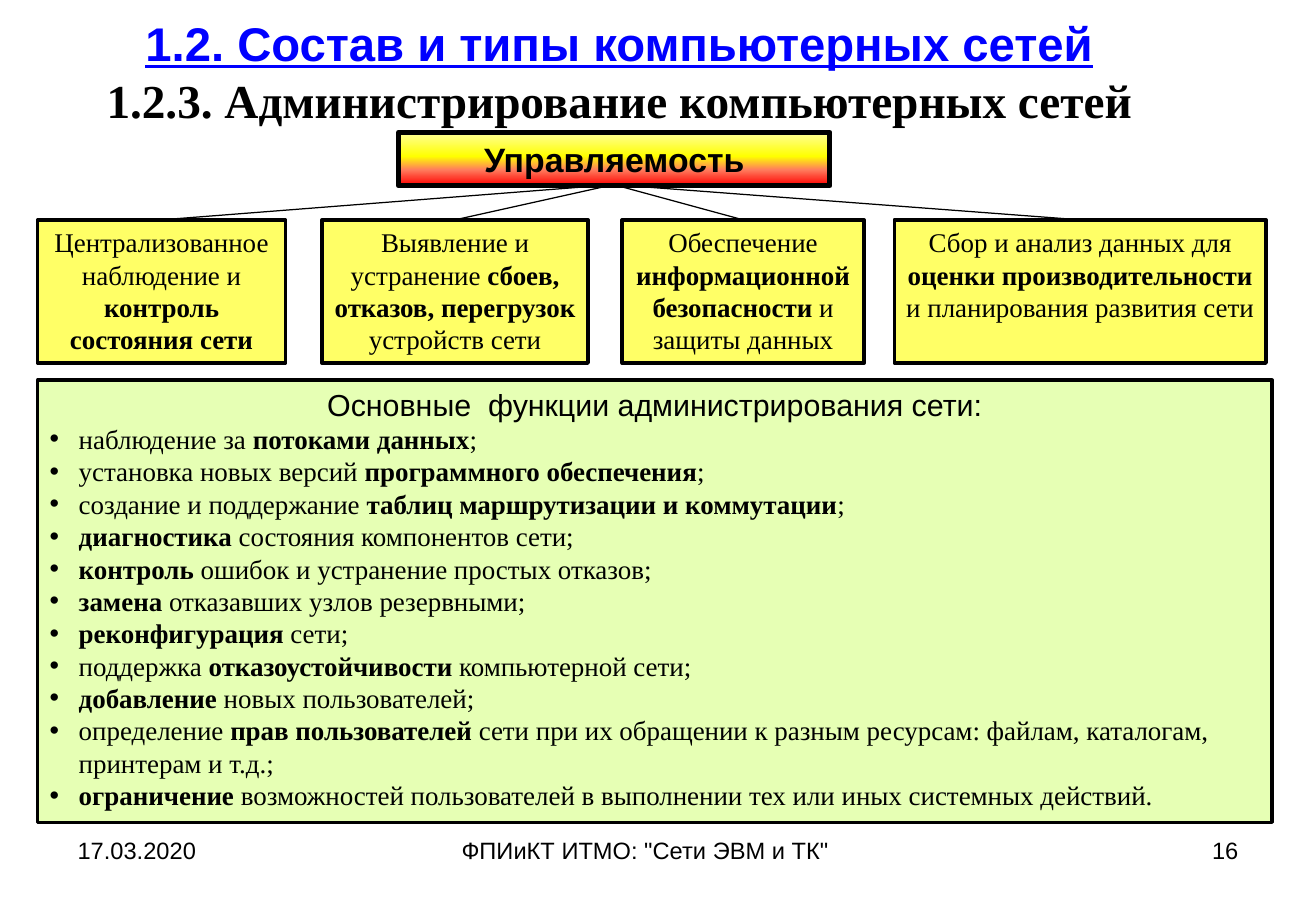
from dataclasses import dataclass

from lxml import etree
from pptx import Presentation
from pptx import util as u
from pptx.dml.color import RGBColor
from pptx.enum import shapes, text
from pptx.oxml.ns import qn


@dataclass(frozen=True)
class Theme:
    sans: str = "Arial"
    serif: str = "Times New Roman"
    ink: str = "000000"
    link: str = "0000FF"
    card: str = "FFFF66"
    panel: str = "CCFF66"
    glow: tuple = ((0, "FFFF99"), (45, "FFFF00"), (70, "FF7C5D"), (100, "FF0000"))
    title: int = 28
    head: int = 20
    lead: int = 18
    body: int = 16
    foot: int = 14


CENTER = text.PP_ALIGN.CENTER
LEFT = text.PP_ALIGN.LEFT
RIGHT = text.PP_ALIGN.RIGHT


class Board:
    def __init__(self, slide, theme):
        self.slide = slide
        self.theme = theme

    def style(self, font, face, size, color=None, bold=None):
        font.name = face
        font.size = u.Pt(size)
        font.color.rgb = RGBColor.from_string(color or self.theme.ink)
        font.bold = bold

    def fill_para(self, para, words, face, size, align=LEFT, bold=None, bullet=False):
        para.alignment = align
        if bullet:
            props = para._p.get_or_add_pPr()
            props.set("marL", str(u.Inches(0.24)))
            props.set("indent", str(-u.Inches(0.24)))
            etree.SubElement(props, qn("a:buFont"), typeface=self.theme.sans)
            etree.SubElement(props, qn("a:buChar"), char="•")
        self.style(para.font, face, size, bold=bold)
        for place, part in enumerate(words.split("*")):
            if part:
                run = para.add_run()
                run.text = part
                if place % 2:
                    run.font.bold = True

    def title(self, first, second, area):
        shape = self.slide.shapes.title
        shape.left, shape.top, shape.width, shape.height = map(u.Inches, area)
        frame = shape.text_frame
        frame.word_wrap = True
        frame.auto_size = text.MSO_AUTO_SIZE.NONE
        frame.vertical_anchor = text.MSO_ANCHOR.MIDDLE
        para = frame.paragraphs[0]
        para.alignment = CENTER
        run = para.add_run()
        run.text = first
        self.style(run.font, self.theme.sans, self.theme.title, self.theme.link, True)
        run.font.underline = True
        para.add_line_break()
        run = para.add_run()
        run.text = second
        self.style(run.font, self.theme.serif, self.theme.title, bold=True)

    def label(self, words, area, align=LEFT):
        frame = self.slide.shapes.add_textbox(*map(u.Inches, area)).text_frame
        frame.word_wrap = True
        self.fill_para(frame.paragraphs[0], words, self.theme.sans, self.theme.foot, align)

    def box(self, area, color=None, width=2):
        shape = self.slide.shapes.add_shape(
            shapes.MSO_SHAPE.RECTANGLE, *map(u.Inches, area))
        shape.shadow.inherit = False
        if color:
            shape.fill.solid()
            shape.fill.fore_color.rgb = RGBColor.from_string(color)
        shape.line.color.rgb = RGBColor.from_string(self.theme.ink)
        shape.line.width = u.Pt(width)
        shape.text_frame.word_wrap = True
        shape.text_frame.vertical_anchor = text.MSO_ANCHOR.TOP
        return shape

    def head(self, words, area):
        shape = self.box(area, width=3)
        shape.fill.gradient()
        shape.fill.gradient_angle = 270
        stops = shape._element.spPr.find(".//" + qn("a:gsLst"))
        for stop in list(stops):
            stops.remove(stop)
        for place, color in self.theme.glow:
            stop = etree.SubElement(stops, qn("a:gs"), pos=str(place * 1000))
            etree.SubElement(stop, qn("a:srgbClr"), val=color)
        self.fill_para(shape.text_frame.paragraphs[0], words, self.theme.sans,
                       self.theme.head, CENTER, True)

    def card(self, words, area):
        shape = self.box(area, self.theme.card)
        self.fill_para(shape.text_frame.paragraphs[0], words, self.theme.serif,
                       self.theme.body, CENTER)

    def panel(self, lead, items, area):
        shape = self.box(area, self.theme.panel)
        color = shape._element.spPr.find(qn("a:solidFill"))[0]
        etree.SubElement(color, qn("a:alpha"), val="49000")
        frame = shape.text_frame
        self.fill_para(frame.paragraphs[0], lead, self.theme.sans,
                       self.theme.lead, CENTER)
        for item in items:
            self.fill_para(frame.add_paragraph(), item, self.theme.serif,
                           self.theme.body, bullet=True)

    def line(self, start, end):
        link = self.slide.shapes.add_connector(
            shapes.MSO_CONNECTOR.STRAIGHT, *map(u.Inches, start + end))
        link.line.color.rgb = RGBColor.from_string(self.theme.ink)
        link.line.width = u.Pt(0.75)
        etree.SubElement(link._element.spPr, qn("a:effectLst"))


CARDS = (
    (0.31, 2.04, "Централизованное наблюдение и *контроль состояния сети*"),
    (2.65, 2.19, "Выявление и устранение *сбоев, отказов, перегрузок *устройств сети"),
    (5.12, 1.99, "Обеспечение *информационной безопасности *и защиты данных"),
    (7.36, 3.06, "Сбор и анализ данных для *оценки производительности *"
                 "и планирования развития сети"),
)
TASKS = (
    "наблюдение за *потоками данных*;",
    "установка новых версий *программного обеспечения*;",
    "создание и поддержание *таблиц маршрутизации и коммутации*;",
    "*диагностика* состояния компонентов сети;",
    "*контроль* ошибок и устранение простых отказов;",
    "*замена* отказавших узлов резервными;",
    "*реконфигурация* сети;",
    "поддержка *отказоустойчивости* компьютерной сети;",
    "*добавление* новых пользователей;",
    "определение *прав пользователей *сети при их обращении к разным ресурсам: "
    "файлам, каталогам, принтерам и т.д.;",
    "*ограничение* возможностей пользователей в выполнении тех или иных "
    "системных действий.",
)


def main():
    deck = Presentation()
    deck.slide_width, deck.slide_height = u.Inches(10.83), u.Inches(7.5)
    board = Board(deck.slides.add_slide(deck.slide_layouts[5]), Theme())
    board.title("1.2. Состав и типы компьютерных сетей",
                "1.2.3. Администрирование компьютерных сетей",
                (0.54, -0.04, 9.11, 1.25))
    board.head("Управляемость", (3.28, 1.09, 3.55, 0.44))
    top = 1.81
    for left, width, words in CARDS:
        board.card(words, (left, top, width, 1.18))
        board.line((5.05, 1.52), (left + width / 2, top))
    board.panel("Основные  функции администрирования сети:", TASKS,
                (0.31, 3.13, 10.16, 3.64))
    board.label("17.03.2020", (0.54, 6.83, 2.53, 0.52))
    board.label('ФПИиКТ ИТМО: "Сети ЭВМ и ТК"', (3.7, 6.83, 3.43, 0.52))
    board.label("16", (7.76, 6.83, 2.53, 0.52), RIGHT)
    deck.save("out.pptx")


if __name__ == "__main__":
    main()
